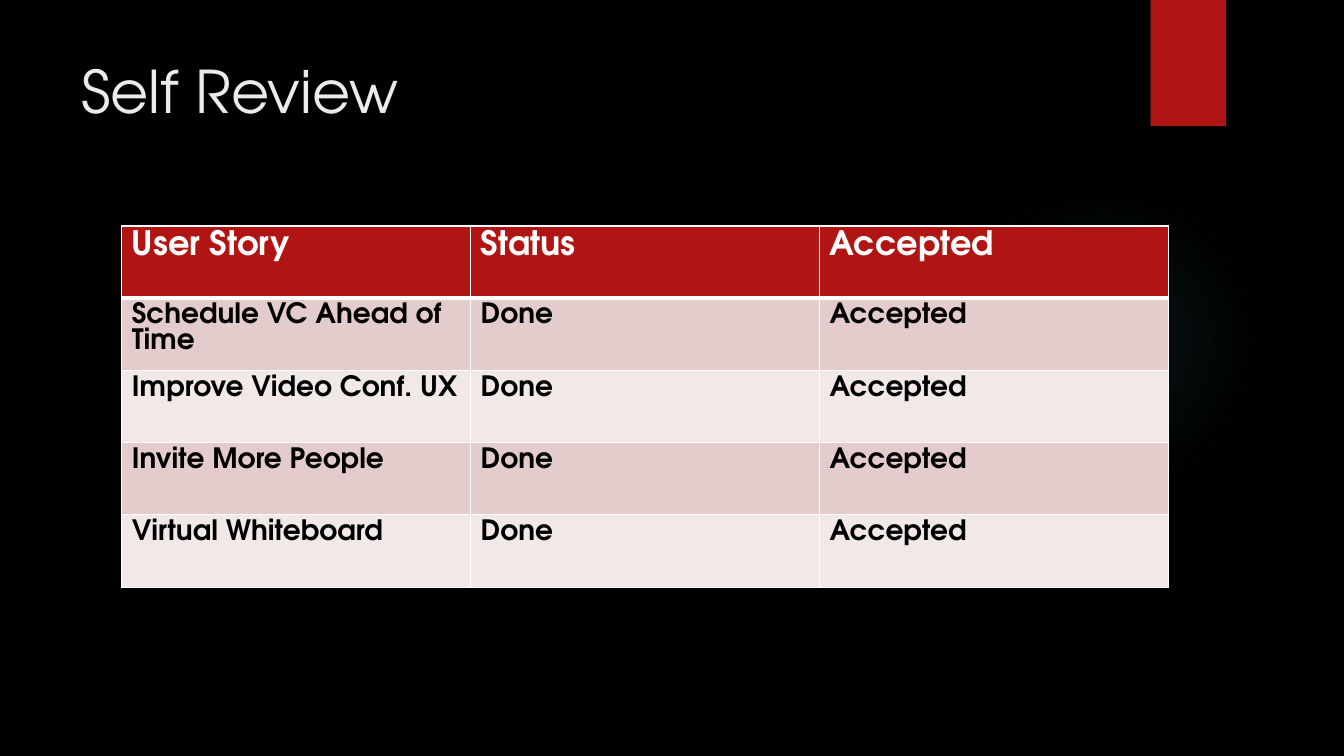
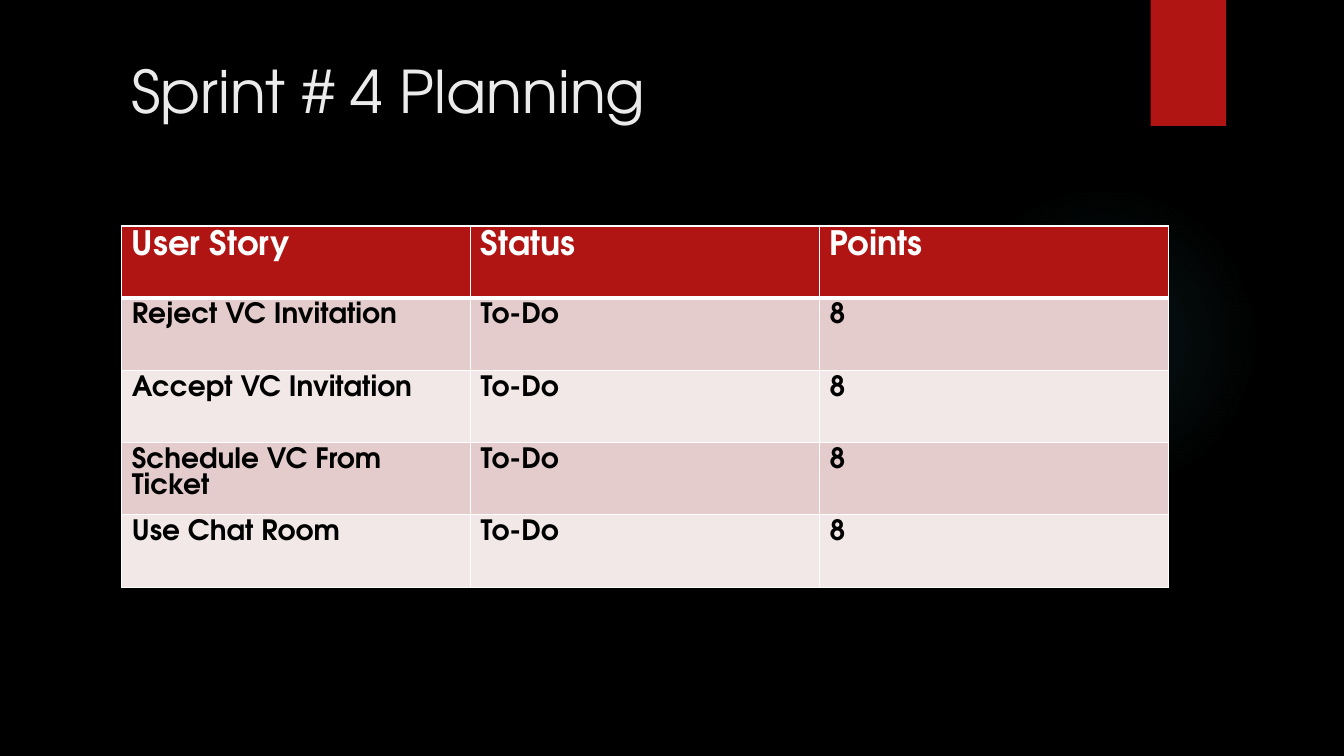
from pptx import Presentation
from pptx.dml.color import RGBColor
from pptx.enum.shapes import MSO_SHAPE as Preset
from pptx.enum.text import MSO_ANCHOR as Anchor, MSO_AUTO_SIZE as AutoSize, PP_ALIGN as Align
from pptx.oxml import parse_xml
from pptx.oxml.ns import nsdecls
from pptx.util import Pt

FONT = "TeX Gyre Adventor"
BLACK, WHITE, TITLE_GREY = "000000", "FFFFFF", "EBEBEB"
RED, BAND_DARK, BAND_LIGHT = "B01513", "E4CCCC", "F2E8E7"
GLOW_COLOUR = "50B9C1"
GLOW_STOPS = [(0, 7), (36, 6), (69, 0)]  # position and opacity, in percent

TITLE_TOP, TITLE_RIGHT, TITLE_HEIGHT = 35.5, 791.5, 110
TABLE_LEFT, TABLE_TOP = 87, 161.4
COLUMN_WIDTH, ROW_HEIGHT = 249.2, 51.6
THIN, THICK = 1, 3


def paint(fill, colour):
    fill.solid()
    fill.fore_color.rgb = RGBColor.from_string(colour)


def style_text(paragraph, size, colour, bold=False):
    paragraph.alignment = Align.LEFT
    font = paragraph.font
    font.name, font.size, font.bold = FONT, Pt(size), bold
    font.color.rgb = RGBColor.from_string(colour)


def add_plain_shape(slide, preset, left, top, width, height):
    shape = slide.shapes.add_shape(preset, Pt(left), Pt(top), Pt(width), Pt(height))
    shape.shadow.inherit = False
    shape.line.fill.background()
    return shape


def add_glow(slide):
    glow = add_plain_shape(slide, Preset.OVAL, 677.5, 131.8, 221.8, 221.8)
    stops = "".join(
        f'<a:gs pos="{position * 1000}"><a:srgbClr val="{GLOW_COLOUR}">'
        f'<a:alpha val="{opacity * 1000}"/></a:srgbClr></a:gs>'
        for position, opacity in GLOW_STOPS
    )
    gradient = parse_xml(
        f'<a:gradFill {nsdecls("a")}><a:gsLst>{stops}</a:gsLst><a:path path="circle">'
        '<a:fillToRect l="50000" t="50000" r="50000" b="50000"/></a:path></a:gradFill>'
    )
    glow.element.spPr.prstGeom.addnext(gradient)


def add_ribbon(slide):
    paint(add_plain_shape(slide, Preset.RECTANGLE, 822, 0, 53.8, 90).fill, RED)


def set_title(slide, text, left):
    title = slide.shapes.title
    title.left, title.top = Pt(left), Pt(TITLE_TOP)
    title.width, title.height = Pt(TITLE_RIGHT - left), Pt(TITLE_HEIGHT)
    frame = title.text_frame
    frame.text = text
    frame.word_wrap = True
    frame.auto_size = AutoSize.NONE
    frame.vertical_anchor = Anchor.TOP
    style_text(frame.paragraphs[0], 42, TITLE_GREY)


def set_borders(cell, top, bottom):
    properties = cell._tc.get_or_add_tcPr()
    for side, width in (("L", THIN), ("R", THIN), ("T", top), ("B", bottom)):
        properties.append(parse_xml(
            f'<a:ln{side} {nsdecls("a")} w="{Pt(width)}"><a:solidFill>'
            f'<a:srgbClr val="{WHITE}"/></a:solidFill></a:ln{side}>'
        ))


def fill_cell(cell, text, row):
    is_header = row == 0
    set_borders(cell, THICK if row == 1 else THIN, THICK if is_header else THIN)
    paint(cell.fill, RED if is_header else BAND_DARK if row % 2 else BAND_LIGHT)
    cell.text = text
    paragraph = cell.text_frame.paragraphs[0]
    style_text(paragraph, 24 if is_header else 20, WHITE if is_header else BLACK, bold=True)


def add_story_table(slide, rows):
    row_count, column_count = len(rows), len(rows[0])
    table = slide.shapes.add_table(
        row_count, column_count, Pt(TABLE_LEFT), Pt(TABLE_TOP),
        Pt(COLUMN_WIDTH * column_count), Pt(ROW_HEIGHT * row_count),
    ).table
    for column in table.columns:
        column.width = Pt(COLUMN_WIDTH)
    for row, texts in enumerate(rows):
        table.rows[row].height = Pt(ROW_HEIGHT)
        for column, text in enumerate(texts):
            fill_cell(table.cell(row, column), text, row)


def add_story_slide(deck, title, title_left, last_heading, stories, status, last_value):
    slide = deck.slides.add_slide(deck.slide_layouts.get_by_name("Title Only"))
    add_glow(slide)
    add_ribbon(slide)
    set_title(slide, title, title_left)
    header = ("User Story", "Status", last_heading)
    add_story_table(slide, [header] + [(story, status, last_value) for story in stories])


def main():
    deck = Presentation()
    deck.slide_width, deck.slide_height = Pt(960), Pt(540)
    paint(deck.slide_master.background.fill, BLACK)
    add_story_slide(
        deck, "Self Review", 51, "Accepted",
        ["Schedule VC Ahead of Time", "Improve Video Conf. UX",
         "Invite More People", "Virtual Whiteboard"],
        "Done", "Accepted",
    )
    add_story_slide(
        deck, "Sprint # 4 Planning", 86.5, "Points",
        ["Reject VC Invitation", "Accept VC Invitation",
         "Schedule VC From Ticket", "Use Chat Room"],
        "To-Do", "8",
    )
    deck.save("out.pptx")


if __name__ == "__main__":
    main()
